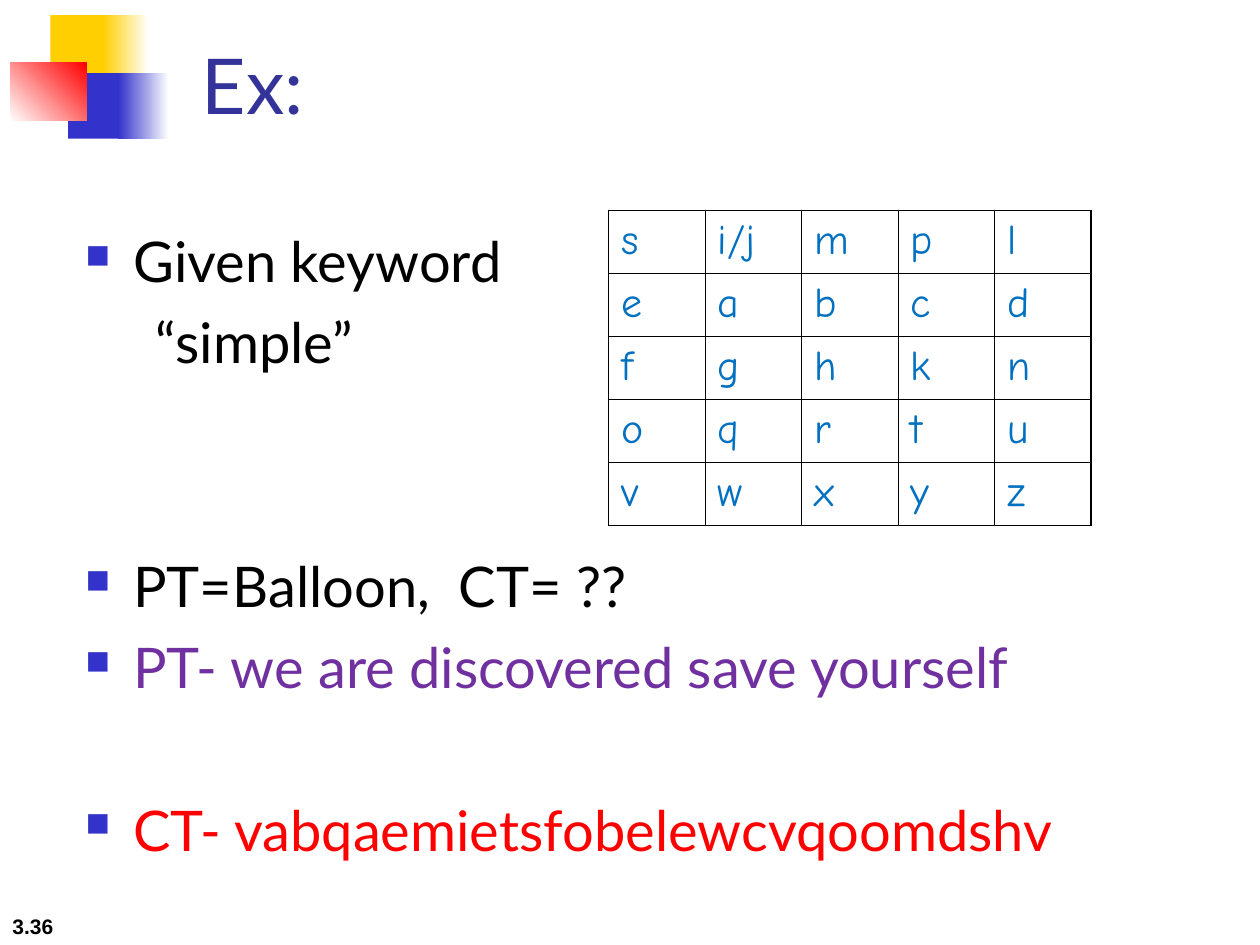
from lxml import etree
from pptx import Presentation
from pptx.dml.color import RGBColor
from pptx.enum.text import MSO_ANCHOR, MSO_AUTO_SIZE, PP_ALIGN
from pptx.enum.shapes import MSO_SHAPE
from pptx.oxml.ns import qn
from pptx.util import Inches, Pt

TOP, BOTTOM = MSO_ANCHOR.TOP, MSO_ANCHOR.BOTTOM
LEFT = PP_ALIGN.LEFT
NO_FIT = MSO_AUTO_SIZE.NONE
RECTANGLE = MSO_SHAPE.RECTANGLE

BLACK = RGBColor(0x00, 0x00, 0x00)
WHITE = RGBColor(0xFF, 0xFF, 0xFF)
YELLOW = RGBColor(0xFF, 0xCF, 0x01)
BLUE = RGBColor(0x33, 0x33, 0xCC)
RED = RGBColor(0xFF, 0x00, 0x00)
NAVY = RGBColor(0x33, 0x33, 0x99)
PURPLE = RGBColor(0x70, 0x30, 0xA0)
CIPHER_BLUE = RGBColor(0x00, 0x70, 0xC0)

TITLE = "Ex:"
PAGE = "3.36"
BODY_LINES = [
    {"text": "Given keyword", "color": BLACK, "bullet": True, "skipped": 0},
    {"text": "“simple”", "color": BLACK, "bullet": False, "skipped": 0},
    {"text": "PT=Balloon,  CT= ??", "color": BLACK, "bullet": True, "skipped": 2},
    {"text": "PT- we are discovered save yourself", "color": PURPLE, "bullet": True, "skipped": 0},
    {"text": "CT- vabqaemietsfobelewcvqoomdshv", "color": RED, "bullet": True, "skipped": 1},
]
KEY_SQUARE = [
    ["s", "i/j", "m", "p", "l"],
    ["e", "a", "b", "c", "d"],
    ["f", "g", "h", "k", "n"],
    ["o", "q", "r", "t", "u"],
    ["v", "w", "x", "y", "z"],
]
ORNAMENT = [
    ((0.4, 0.12, 0.48, 0.52), (YELLOW,), 0),
    ((0.82, 0.12, 0.36, 0.52), (YELLOW, WHITE), 0),
    ((0.54, 0.58, 0.46, 0.52), (BLUE,), 0),
    ((0.94, 0.58, 0.4, 0.52), (BLUE, WHITE), 0),
    ((0.08, 0.5, 0.61, 0.46), (WHITE, RED), 45),
]

TITLE_FONT = {"name": "Lato", "size": Pt(44), "bold": False}
BODY_FONT = {"name": "Lato", "size": Pt(32)}
PAGE_FONT = {"name": "Arial", "size": Pt(12), "bold": True}
KEY_FONT = {"name": "Comic Neue", "size": Pt(24), "bold": False}
BODY_GAP = 8
BODY_PITCH = 32 * 1.2 + BODY_GAP
HANGING, KEYWORD_INDENT = 0.38, 0.56
OUTER_LINE, INNER_LINE = Pt(1.08), Pt(0.45)


def set_all(target, values):
    for name, value in values.items():
        setattr(target, name, value)


def write(paragraph, text, font, color):
    paragraph.text = text
    paragraph.alignment = LEFT
    set_all(paragraph.font, font)
    paragraph.font.color.rgb = color


def prepare_frame(frame, anchor):
    set_all(frame, {"word_wrap": True, "auto_size": NO_FIT, "vertical_anchor": anchor})


def add_child(parent, tag, **attributes):
    return etree.SubElement(parent, qn(tag), attributes)


def set_indent(paragraph, bullet):
    properties = paragraph._p.get_or_add_pPr()
    margin = HANGING if bullet else KEYWORD_INDENT
    properties.set("marL", str(Inches(margin)))
    properties.set("indent", str(-Inches(HANGING) if bullet else 0))
    if bullet:
        add_child(add_child(properties, "a:buClr"), "a:srgbClr", val=str(BLUE))
        add_child(properties, "a:buSzPct", val="60000")
        add_child(properties, "a:buChar", char="■")
    else:
        add_child(properties, "a:buNone")


def set_borders(cell, row, column, last):
    outer_sides = {"L": column == 0, "R": column == last, "T": row == 0, "B": row == last}
    properties = cell._tc.get_or_add_tcPr()
    for side, outer in outer_sides.items():
        border = add_child(properties, f"a:ln{side}", w=str(OUTER_LINE if outer else INNER_LINE))
        add_child(add_child(border, "a:solidFill"), "a:srgbClr", val=str(BLACK))


def add_ornament(slide):
    for place, colors, angle in ORNAMENT:
        block = slide.shapes.add_shape(RECTANGLE, *map(Inches, place))
        block.shadow.inherit = False
        block.line.fill.background()
        if len(colors) == 1:
            block.fill.solid()
            block.fill.fore_color.rgb = colors[0]
        else:
            block.fill.gradient()
            block.fill.gradient_angle = angle
            for stop, color in zip(block.fill.gradient_stops, colors):
                stop.color.rgb = color


def add_text_area(slide, place, anchor):
    frame = slide.shapes.add_textbox(*map(Inches, place)).text_frame
    prepare_frame(frame, anchor)
    return frame


def add_body(slide):
    frame = add_text_area(slide, (0.58, 1.75, 8.5, 5.08), TOP)
    for index, line in enumerate(BODY_LINES):
        paragraph = frame.add_paragraph() if index else frame.paragraphs[0]
        set_indent(paragraph, line["bullet"])
        write(paragraph, line["text"], BODY_FONT, line["color"])
        if index:
            paragraph.space_before = Pt(BODY_GAP + line["skipped"] * BODY_PITCH)


def add_key_square(slide):
    count = len(KEY_SQUARE)
    place = map(Inches, (4.83, 1.67, 3.83, 2.5))
    table = slide.shapes.add_table(count, count, *place).table
    set_all(table, {"first_row": False, "horz_banding": False})
    for row, letters in enumerate(KEY_SQUARE):
        for column, letter in enumerate(letters):
            cell = table.cell(row, column)
            set_borders(cell, row, column, count - 1)
            cell.fill.background()
            write(cell.text_frame.paragraphs[0], letter, KEY_FONT, CIPHER_BLUE)


def main():
    deck = Presentation()
    set_all(deck, {"slide_width": Inches(10), "slide_height": Inches(7.5)})
    slide = deck.slides.add_slide(deck.slide_layouts[5])

    page = add_text_area(slide, (0, 7, 2.08, 0.5), BOTTOM)
    write(page.paragraphs[0], PAGE, PAGE_FONT, BLACK)
    add_ornament(slide)

    title = slide.shapes.title
    set_all(title, {"left": Inches(1.5), "top": Inches(0.25),
                    "width": Inches(8.1), "height": Inches(1.25)})
    prepare_frame(title.text_frame, TOP)
    write(title.text_frame.paragraphs[0], TITLE, TITLE_FONT, NAVY)

    add_body(slide)
    add_key_square(slide)
    deck.save("out.pptx")


if __name__ == "__main__":
    main()
